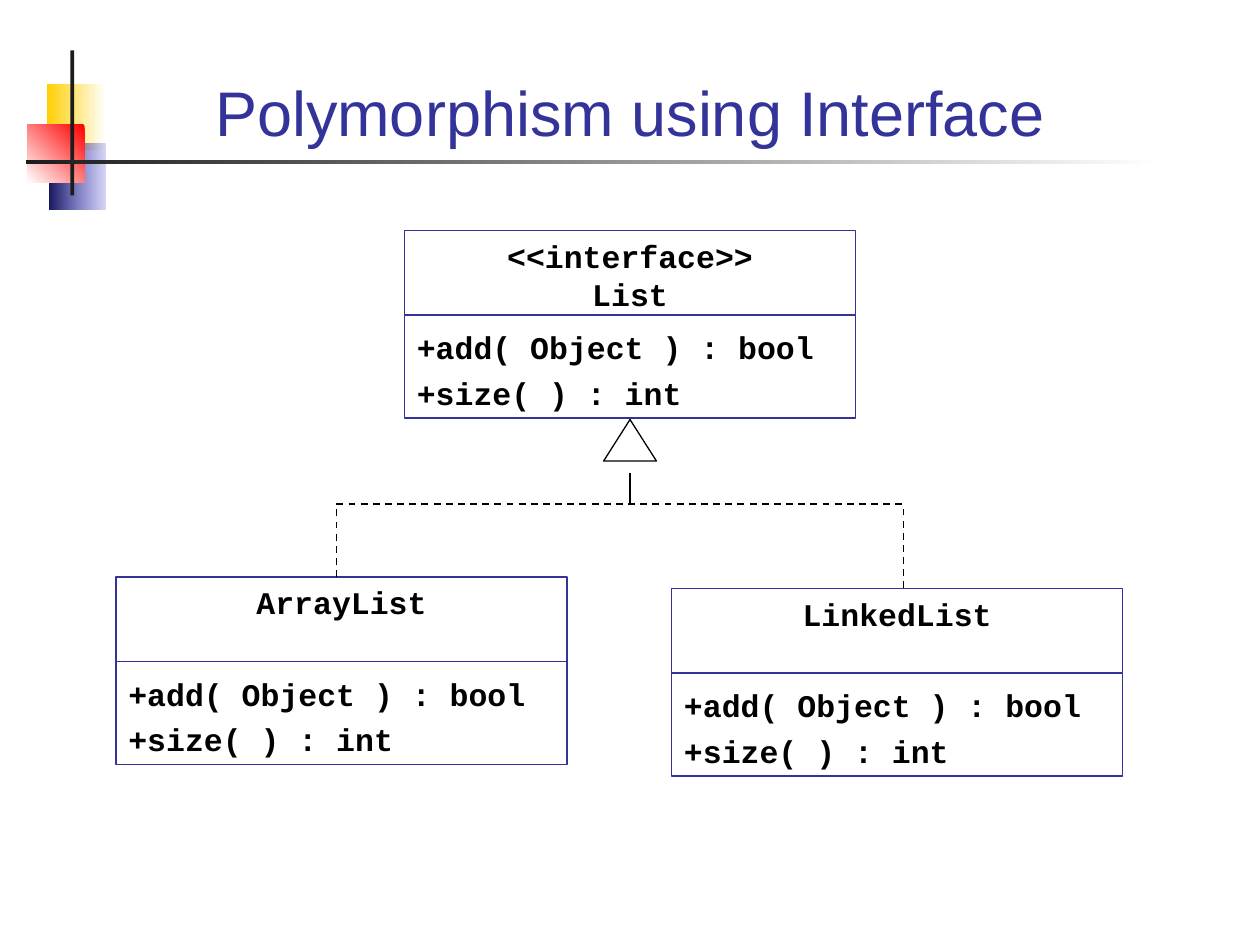
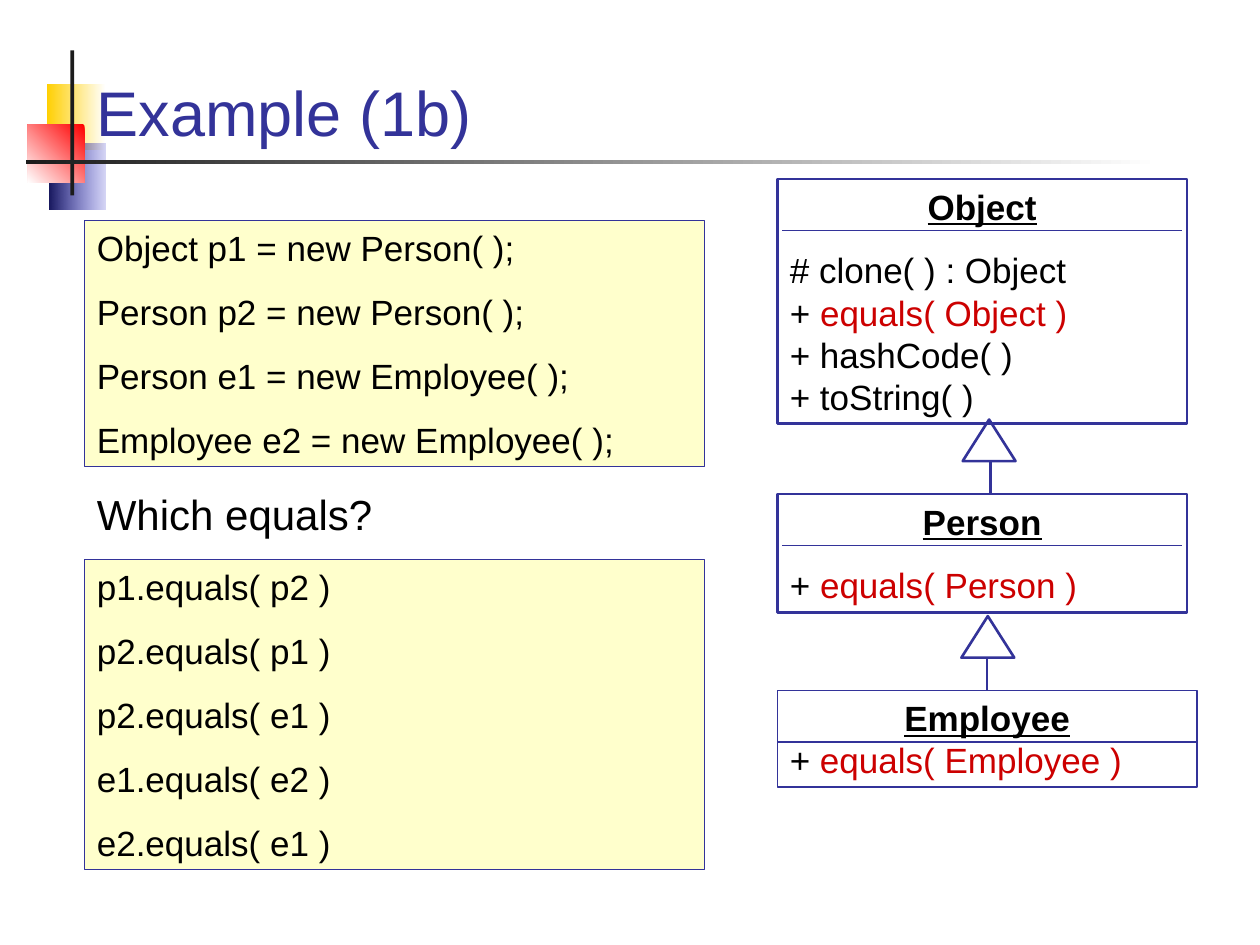
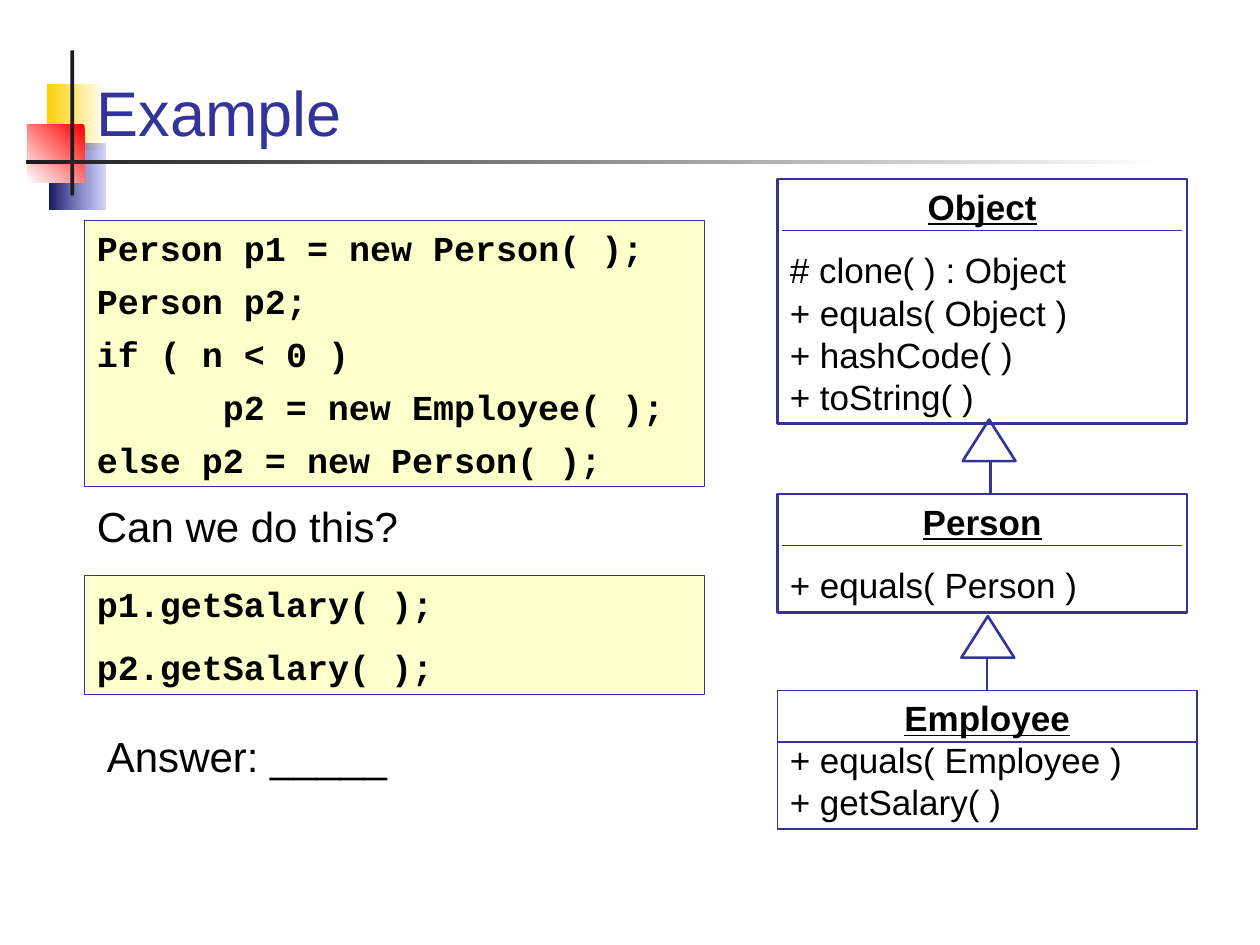
"""Build three slides on polymorphism: class diagrams beside code samples."""
from lxml.etree import SubElement
from pptx import Presentation
from pptx.dml.color import RGBColor
from pptx.enum.dml import MSO_LINE
from pptx.enum.shapes import MSO_CONNECTOR, MSO_SHAPE
from pptx.enum.text import MSO_ANCHOR, PP_ALIGN
from pptx.oxml.ns import qn
from pptx.util import Inches, Pt

COLORS = {"navy": "333399", "black": "000000", "white": "FFFFFF", "cream": "FFFFCC",
          "red": "CC0000", "ink": "1C1C1C", "gold": "FFCF01", "scarlet": "FF0000",
          "blue": "3333CC", "midnight": "17175E"}
SANS, MONO = "Arial", "Courier New"
LINE_RATIO = 1.2
INSET_X, INSET_Y = 0.1, 0.05

DECORATION = [
    ((0.37, 0.67, 0.47, 0.52), "white", "gold", 180),
    ((0.39, 1.14, 0.45, 0.52), "blue", "midnight", 180),
    ((0.22, 0.99, 0.45, 0.46), "scarlet", "white", 225),
    ((0.56, 0.4, 0.03, 1.15), "ink", None, 0),
    ((0.21, 1.27, 9, 0.03), "white", "ink", 180),
]
TITLE_AREA = (0.67, 0.28, 8.66, 0.95)

INTERFACE_TITLE = "Polymorphism using Interface"
INTERFACE_METHODS = ["+add( Object ) : bool", "+size( ) : int"]
INTERFACE_CLASSES = [
    (["<<interface>>", "List"], 3.21, 1.83),
    (["ArrayList"], 0.92, 4.58),
    (["LinkedList"], 5.33, 4.67),
]
IMPLEMENTATION_LINES = [
    ((2.67, 4.58), (2.67, 4)), ((7.17, 4.67), (7.17, 4)), ((2.67, 4), (7.17, 4))]

EXAMPLES = [
    {"title": "Example (1b)",
     "code": [
         (1.75, SANS, 12.5, ["Object p1 = new Person( );", "Person p2 = new Person( );",
                             "Person e1 = new Employee( );",
                             "Employee e2 = new Employee( );"]),
         (4.44, SANS, 12.5, ["p1.equals( p2 )", "p2.equals( p1 )", "p2.equals( e1 )",
                             "e1.equals( e2 )", "e2.equals( e1 )"])],
     "notes": [("Which equals?", 0.67, 3.83)],
     "classes": {
         "Object": ["# clone( ) : Object", "+ |equals( Object )", "+ hashCode( )",
                    "+ toString( )"],
         "Person": ["+ |equals( Person )"],
         "Employee": ["+ |equals( Employee )"]}},
    {"title": "Example",
     "code": [
         (1.75, MONO, 6.2, ["Person p1 = new Person( );", "Person p2;", "if ( n < 0 )",
                            "\tp2 = new Employee( );", "else p2 = new Person( );"]),
         (4.57, MONO, 12.5, ["p1.getSalary( );", "p2.getSalary( );"])],
     "notes": [("Can we do this?", 0.67, 3.92), ("Answer: _____", 0.75, 5.75)],
     "classes": {
         "Object": ["# clone( ) : Object", "+ equals( Object )", "+ hashCode( )",
                    "+ toString( )"],
         "Person": ["+ equals( Person )"],
         "Employee": ["+ equals( Employee )", "+ getSalary( )"]}},
]
CLASS_STYLES = {
    "Object": {"top": 1.42, "width": 3.25, "weight": 1.5, "gap": 12.5, "margin": 0.04,
               "divider": 1},
    "Person": {"top": 3.92, "width": 3.25, "weight": 1.5, "gap": 12.5, "margin": 0.04,
               "divider": 1},
    "Employee": {"top": 5.48, "width": 3.33, "weight": 0.75, "gap": 0, "margin": 0,
                 "divider": 0.75},
}
CLASS_LEFT, CODE_LEFT, CODE_WIDTH = 6.17, 0.67, 4.92
ARROW = (0.42, 0.33)


def color(name):
    """Return the named colour."""
    return RGBColor.from_string(COLORS[name])


def stack_height(count, size, gaps):
    """Return the height in inches of lines of text inside a box."""
    return (count * size * LINE_RATIO + gaps) / 72 + 2 * INSET_Y


def write(box, lines, *, size, font=SANS, ink="black", bold=False, underline=False,
          align=PP_ALIGN.LEFT, gap=0, anchor=MSO_ANCHOR.TOP):
    """Fill a box with lines; a line is text or (text, overrides), red after a bar."""
    frame = box.text_frame
    frame.word_wrap = True
    frame.vertical_anchor = anchor
    frame.margin_left = frame.margin_right = Inches(INSET_X)
    frame.margin_top = frame.margin_bottom = Inches(INSET_Y)
    for index, line in enumerate(lines):
        text, changes = (line, {}) if isinstance(line, str) else line
        para = frame.add_paragraph() if index else frame.paragraphs[0]
        if text.startswith("\t"):
            tabs = SubElement(para._p.get_or_add_pPr(), qn("a:tabLst"))
            SubElement(tabs, qn("a:tab"), pos=str(Inches(1)), algn="l")
        para.alignment = changes.get("align", align)
        para.line_spacing = Pt(size * LINE_RATIO)
        if index:
            para.space_before = Pt(changes.get("gap", gap))
        for part, piece in enumerate(text.split("|")):
            span = para.add_run()
            span.text = piece
            span.font.name = font
            span.font.size = Pt(size)
            span.font.bold = changes.get("bold", bold)
            span.font.underline = changes.get("underline", underline)
            span.font.color.rgb = color("red" if part else ink)


def add_box(page, area, kind=MSO_SHAPE.RECTANGLE, fill=None, line=None, weight=1):
    """Add a plain preset shape."""
    box = page.shapes.add_shape(kind, *map(Inches, area))
    box.shadow.inherit = False
    if fill:
        box.fill.solid()
        box.fill.fore_color.rgb = color(fill)
    else:
        box.fill.background()
    if line:
        box.line.color.rgb = color(line)
        box.line.width = Pt(weight)
    else:
        box.line.fill.background()
    return box


def add_line(page, start, end, ink="navy", weight=1, dashed=False):
    """Add a straight connector."""
    link = page.shapes.add_connector(
        MSO_CONNECTOR.STRAIGHT, *map(Inches, (*start, *end)))
    link.line.color.rgb = color(ink)
    link.line.width = Pt(weight)
    if dashed:
        link.line.dash_style = MSO_LINE.DASH
    SubElement(link._element.spPr, qn("a:effectLst"))
    return link


def add_page(deck, title, align=PP_ALIGN.LEFT):
    """Add a slide with the shared decoration and a title."""
    page = deck.slides.add_slide(deck.slide_layouts[6])
    for area, first, last, angle in DECORATION:
        box = add_box(page, area, fill=first)
        if last:
            box.fill.gradient()
            box.fill.gradient_angle = angle
            for stop, name in zip(box.fill.gradient_stops, (first, last)):
                stop.color.rgb = color(name)
                stop.position = float(name == last)
        if first == "blue":
            tint = next(box._element.iter(qn("a:srgbClr")))
            SubElement(tint, qn("a:alpha"), val="20000")
    box = page.shapes.add_textbox(*map(Inches, TITLE_AREA))
    write(box, [title], size=36, ink="navy", align=align, anchor=MSO_ANCHOR.BOTTOM)
    return page


def add_interface_class(page, names, left, top):
    """Draw a class box with a tight heading of up to two lines and its methods."""
    size, gap, width = 18, 4.5, 3.58
    lead = 2 * gap + (2 - len(names)) * size * LINE_RATIO
    lines = [(name, {"align": PP_ALIGN.CENTER, "gap": 0}) for name in names]
    lines += [(INTERFACE_METHODS[0], {"gap": lead}), *INTERFACE_METHODS[1:]]
    area = (left, top, width, stack_height(4, size, 3 * gap))
    box = add_box(page, area, line="navy")
    write(box, lines, size=size, font=MONO, bold=True, gap=gap)
    divider = top + 0.67
    add_line(page, (left, divider), (left + width, divider))


def add_class(page, name, members, style):
    """Draw a class box with an underlined name above its members."""
    top, width, gap = style["top"], style["width"], style["gap"]
    height = stack_height(1 + len(members), 20, gap)
    box = add_box(page, (CLASS_LEFT, top, width, height), line="navy",
                  weight=style["weight"])
    heading = (name, {"align": PP_ALIGN.CENTER, "bold": True, "underline": True})
    write(box, [heading, (members[0], {"gap": gap}), *members[1:]], size=20)
    divider, margin = top + 0.41, style["margin"]
    add_line(page, (CLASS_LEFT + margin, divider),
             (CLASS_LEFT + width - margin, divider), weight=style["divider"])
    return box


def add_example(deck, example):
    """Add a slide with code at the left and a class hierarchy at the right."""
    page = add_page(deck, example["title"])
    for top, font, gap, lines in example["code"]:
        height = stack_height(len(lines), 20, gap * (len(lines) - 1))
        box = add_box(page, (CODE_LEFT, top, CODE_WIDTH, height), fill="cream",
                      line="navy", weight=0.75)
        write(box, lines, size=20, font=font, bold=font == MONO, gap=gap)
    for text, left, top in example["notes"]:
        area = (left, top, CODE_WIDTH, stack_height(1, 24, 0))
        write(page.shapes.add_textbox(*map(Inches, area)), [text], size=24)
    boxes = {name: add_class(page, name, members, CLASS_STYLES[name])
             for name, members in example["classes"].items()}
    for left, top, stem, child in ((7.64, 3.33, 7.86, "Person"),
                                   (7.63, 4.89, 7.83, "Employee")):
        link = add_line(page, (stem, CLASS_STYLES[child]["top"]),
                        (stem, top + ARROW[1]), weight=1.5)
        if child == "Employee":
            link.begin_connect(boxes[child], 0)
            link.end_x = link.begin_x
        add_box(page, (left, top, *ARROW), MSO_SHAPE.ISOSCELES_TRIANGLE,
                line="navy", weight=1.5)


def add_interface(deck):
    """Add the slide with one interface and two implementations."""
    page = add_page(deck, INTERFACE_TITLE, PP_ALIGN.CENTER)
    for names, left, top in INTERFACE_CLASSES:
        add_interface_class(page, names, left, top)
    for start, end in IMPLEMENTATION_LINES:
        add_line(page, start, end, ink="black", dashed=True)
    add_line(page, (5, 4), (5, 3.75), ink="black", weight=0.75)
    add_box(page, (4.79, 3.33, *ARROW), MSO_SHAPE.ISOSCELES_TRIANGLE,
            fill="white", line="black", weight=0.75)


def main():
    """Build the deck and save it."""
    deck = Presentation()
    deck.slide_width, deck.slide_height = Inches(10), Inches(7.5)
    add_interface(deck)
    for example in EXAMPLES:
        add_example(deck, example)
    deck.save("out.pptx")


if __name__ == "__main__":
    main()
